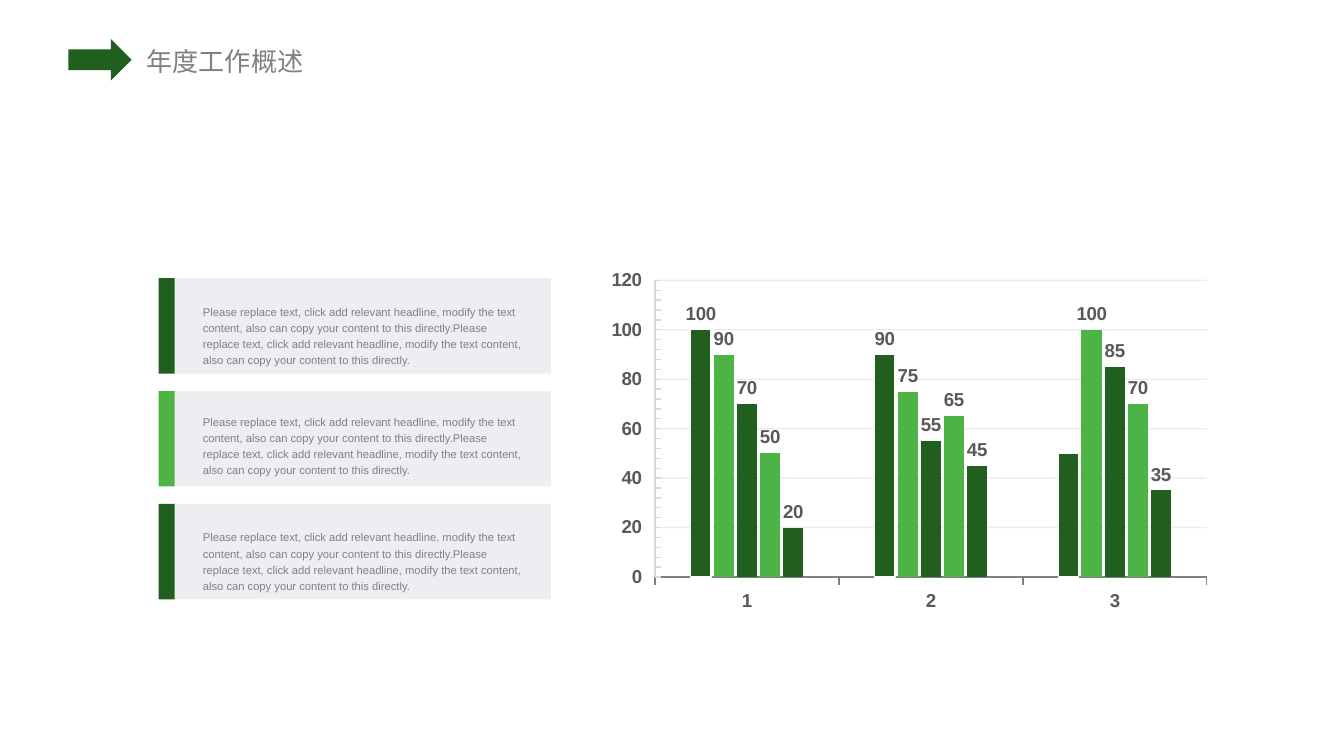
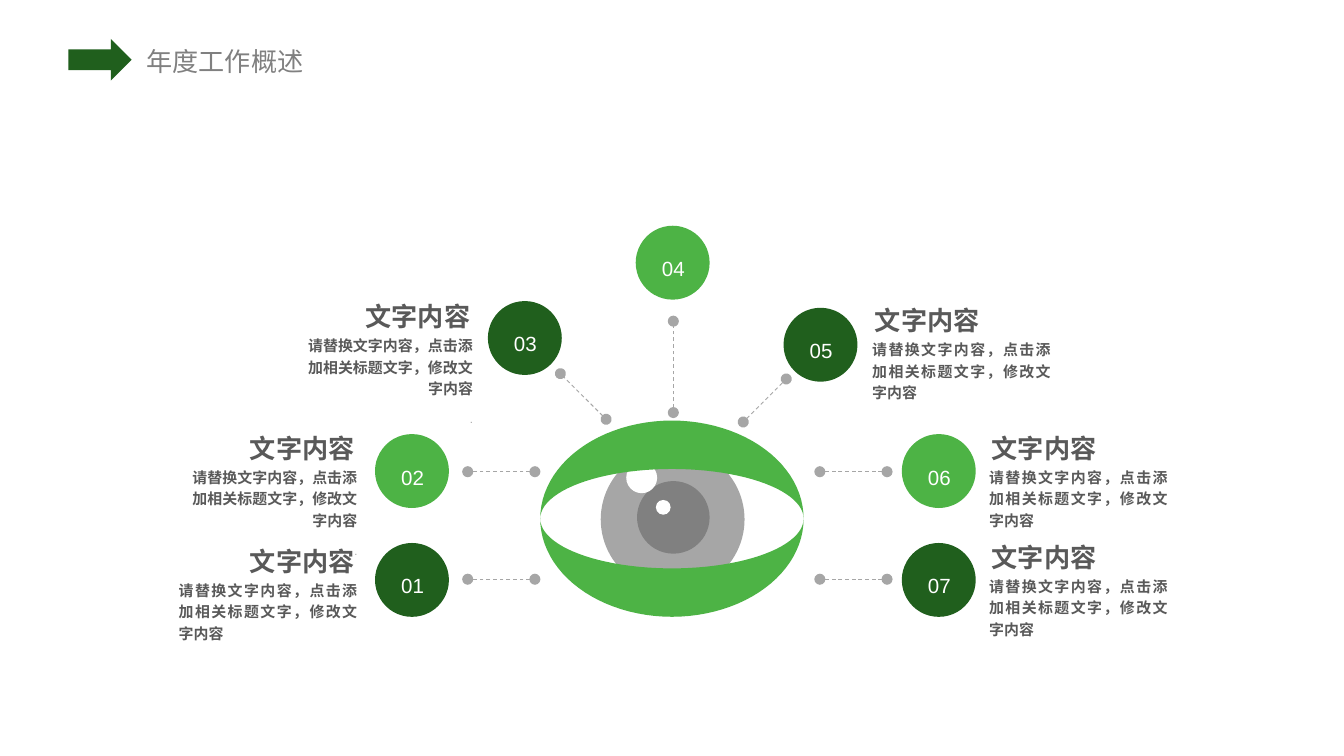
from dataclasses import dataclass
from math import cos, pi, sin
from typing import Any

from lxml import etree
from pptx import Presentation
from pptx.chart import data as chart_data
from pptx.dml.color import RGBColor
from pptx.enum import chart as charts, dml, shapes, text
from pptx.oxml import ns
from pptx.util import Inches, Pt

# Shared style
DARK_GREEN = RGBColor(0x20, 0x5F, 0x1D)
LIGHT_GREEN = RGBColor(0x4D, 0xB3, 0x45)
PANEL = RGBColor(0xEC, 0xEE, 0xF2)
WHITE = RGBColor(0xFF, 0xFF, 0xFF)
SILVER = RGBColor(0xA6, 0xA6, 0xA6)
GREY = RGBColor(0x80, 0x80, 0x80)
CHARCOAL = RGBColor(0x59, 0x59, 0x59)
GRID = RGBColor(0xD9, 0xD9, 0xD9)
LATIN_FONT = "Arial"
CHINESE_FONT = "Noto Sans CJK SC"
RECTANGLE = shapes.MSO_SHAPE.RECTANGLE
OVAL = shapes.MSO_SHAPE.OVAL
LEFT, RIGHT = text.PP_ALIGN.LEFT, text.PP_ALIGN.RIGHT
CENTER, JUSTIFY = text.PP_ALIGN.CENTER, text.PP_ALIGN.JUSTIFY
TOP, MIDDLE, BOTTOM = (text.MSO_ANCHOR.TOP, text.MSO_ANCHOR.MIDDLE,
                       text.MSO_ANCHOR.BOTTOM)

# Wording
PAGE_TITLE = "年度工作概述"
SENTENCE = ("Please replace text, click add relevant headline, modify the text "
            "content, also can copy your content to this directly.")
CALLOUT_TITLE = "文字内容"
CALLOUT_BODY = "请替换文字内容，点击添加相关标题文字，修改文字内容"


@dataclass(frozen=True)
class Style:
    size: float
    color: RGBColor
    bold: bool = False
    font: str = LATIN_FONT


@dataclass(frozen=True)
class Panel:
    text_top: float
    color: RGBColor


@dataclass(frozen=True)
class Badge:
    number: str
    left: float
    top: float
    color: RGBColor


@dataclass(frozen=True)
class Callout:
    left: float
    top: float
    title_align: Any
    body_align: Any
    dotted: bool = False


TITLE_STYLE = Style(14, GREY, font=CHINESE_FONT)
PANEL_STYLE = Style(6, GREY)
BADGE_STYLE = Style(11, WHITE)
HEADING_STYLE = Style(14, CHARCOAL, True)
BODY_STYLE = Style(8, CHARCOAL, True)
DOT_STYLE = Style(6, SILVER)

PANELS = [Panel(2.25, DARK_GREEN), Panel(3.07, LIGHT_GREEN), Panel(3.93, DARK_GREEN)]
PANEL_TOP, PANEL_STEP, PANEL_HEIGHT = 2.07, 0.84, 0.71

SERIES = [(100, 90, 50), (90, 75, 100), (70, 55, 85), (50, 65, 70), (20, 45, 35)]

BADGES = [
    Badge("01", 2.79, 4.04, DARK_GREEN),
    Badge("02", 2.79, 3.23, LIGHT_GREEN),
    Badge("03", 3.63, 2.24, DARK_GREEN),
    Badge("04", 4.73, 1.68, LIGHT_GREEN),
    Badge("05", 5.83, 2.29, DARK_GREEN),
    Badge("06", 6.71, 3.23, LIGHT_GREEN),
    Badge("07", 6.71, 4.04, DARK_GREEN),
]
CALLOUT_WIDTH = 1.33
CALLOUTS = [
    Callout(1.33, 4.07, RIGHT, JUSTIFY),
    Callout(1.33, 3.23, RIGHT, RIGHT, dotted=True),
    Callout(2.19, 2.25, RIGHT, RIGHT, dotted=True),
    Callout(6.49, 2.28, LEFT, JUSTIFY),
    Callout(7.36, 3.23, LEFT, JUSTIFY),
    Callout(7.36, 4.04, LEFT, JUSTIFY),
]
SPOKES = [(4.51, 3.12, 4.17, 2.78), (5.53, 3.14, 5.85, 2.82), (5.01, 3.07, 5.01, 2.39)]
SPOKES += [(x, y, x - 0.5, y) for x in (3.98, 6.6) for y in (3.51, 4.31)]


def paint(shape: Any, color: RGBColor) -> None:
    shape.shadow.inherit = False
    shape.fill.solid()
    shape.fill.fore_color.rgb = color
    shape.line.fill.background()


def add_block(slide: Any, kind: Any, left: float, top: float, width: float,
              height: float, color: RGBColor) -> None:
    shape = slide.shapes.add_shape(kind, Inches(left), Inches(top),
                                   Inches(width), Inches(height))
    paint(shape, color)


def add_run(paragraph: Any, words: str, style: Style) -> None:
    run = paragraph.add_run()
    run.text = words
    run.font.size = Pt(style.size)
    run.font.bold = style.bold
    run.font.name = style.font
    run.font.color.rgb = style.color
    east_asian = etree.SubElement(run.font._element, ns.qn("a:ea"))
    east_asian.set("typeface", CHINESE_FONT)


def add_text(slide: Any, left: float, top: float, width: float, height: float,
             words: str, style: Style, align: Any = LEFT, anchor: Any = TOP,
             spacing: float = 1.0, margins: tuple[float, float] = (0, 0),
             wrap: bool = True) -> Any:
    box = slide.shapes.add_textbox(Inches(left), Inches(top),
                                   Inches(width), Inches(height))
    frame = box.text_frame
    frame.word_wrap = wrap
    frame.vertical_anchor = anchor
    frame.margin_left = frame.margin_right = Inches(margins[0])
    frame.margin_top = frame.margin_bottom = Inches(margins[1])
    paragraph = frame.paragraphs[0]
    paragraph.alignment = align
    paragraph.line_spacing = spacing
    add_run(paragraph, words, style)
    return frame


def add_page(presentation: Any) -> Any:
    """Add a slide with the shared heading."""
    slide = presentation.slides.add_slide(presentation.slide_layouts[6])
    add_text(slide, 0.98, 0.29, 1.39, 0.34, PAGE_TITLE, TITLE_STYLE,
             margins=(0.11, 0.05), wrap=False)
    add_block(slide, shapes.MSO_SHAPE.RIGHT_ARROW, 0.51, 0.29, 0.47, 0.31, DARK_GREEN)
    return slide


def style_label(font: Any) -> None:
    font.name = LATIN_FONT
    font.size = Pt(10)
    font.bold = True
    font.color.rgb = CHARCOAL


def set_plot_layout(plot_area: Any, **bounds: float) -> None:
    for old_layout in plot_area.findall(ns.qn("c:layout")):
        plot_area.remove(old_layout)
    layout = etree.Element(ns.qn("c:layout"))
    manual = etree.SubElement(layout, ns.qn("c:manualLayout"))
    settings = {"layoutTarget": "inner", "xMode": "edge", "yMode": "edge", **bounds}
    for name, value in settings.items():
        etree.SubElement(manual, ns.qn(f"c:{name}")).set("val", str(value))
    plot_area.insert(0, layout)


def style_axes(chart: Any) -> None:
    category, value = chart.category_axis, chart.value_axis
    category.major_tick_mark = charts.XL_TICK_MARK.OUTSIDE
    category.format.line.color.rgb = GREY
    category.format.line.width = Pt(0.75)
    value.minimum_scale = 0
    value.major_tick_mark = charts.XL_TICK_MARK.NONE
    value.minor_tick_mark = charts.XL_TICK_MARK.INSIDE
    value.tick_label_position = charts.XL_TICK_LABEL_POSITION.LOW
    gridlines = value.major_gridlines.format.line
    for line in (value.format.line, gridlines):
        line.color.rgb = GRID
        line.width = Pt(0.75)
    grid_color = gridlines._ln.find(".//" + ns.qn("a:srgbClr"))
    etree.SubElement(grid_color, ns.qn("a:alpha")).set("val", "48000")
    for axis in (category, value):
        style_label(axis.tick_labels.font)
        axis.tick_labels.number_format = "General"
        axis.tick_labels.number_format_is_linked = False


def add_bar_chart(slide: Any) -> None:
    data = chart_data.CategoryChartData()
    data.categories = ["1", "2", "3"]
    for index, values in enumerate(SERIES, 1):
        data.add_series(f"Series {index}", values)
    chart = slide.shapes.add_chart(
        charts.XL_CHART_TYPE.COLUMN_CLUSTERED, Inches(4.44), Inches(1.96),
        Inches(4.67), Inches(2.76), data).chart
    chart.has_legend = chart.has_title = False
    style_label(chart.font)
    style_axes(chart)
    plot = chart.plots[0]
    plot.gap_width, plot.overlap = 351, -14
    plot.vary_by_categories = False
    set_plot_layout(plot._element.getparent(), x=0.093, y=0.046, w=0.879, h=0.8)
    outside = charts.XL_LABEL_POSITION.OUTSIDE_END
    for index, series in enumerate(plot.series):
        series.format.fill.solid()
        series.format.fill.fore_color.rgb = LIGHT_GREEN if index % 2 else DARK_GREEN
        if index:
            series.format.line.fill.background()
            series.data_labels.position = outside
        else:
            # The last bar of the first series has no label
            series.format.line.color.rgb = WHITE
            series.format.line.width = Pt(0.75)
            for point in (0, 1):
                label = series.points[point].data_label
                style_label(label.font)
                label.position = outside
        series.data_labels.show_value = index > 0
        style_label(series.data_labels.font)


def build_chart_slide(presentation: Any) -> None:
    slide = add_page(presentation)
    add_bar_chart(slide)
    for index, panel in enumerate(PANELS):
        top = PANEL_TOP + index * PANEL_STEP
        add_block(slide, RECTANGLE, 1.3, top, 2.8, PANEL_HEIGHT, PANEL)
        add_block(slide, RECTANGLE, 1.18, top, 0.12, PANEL_HEIGHT, panel.color)
        add_text(slide, 1.51, panel.text_top, 2.4, 0.48, SENTENCE * 2,
                 PANEL_STYLE, spacing=1.2)


def add_eyelids(slide: Any) -> None:
    """Draw two crescents between a tall and a flat ellipse."""
    center_x, center_y, radius_x, outer, inner = 5.0, 3.86, 0.98, 0.73, 0.37
    steps = 48
    angles = [pi * step / steps for step in range(steps + 1)]

    def arc(radius_y: float) -> list[tuple[int, int]]:
        return [(Inches(center_x + radius_x * cos(angle)),
                 Inches(center_y + radius_y * sin(angle))) for angle in angles]

    upper, lower = (arc(side * outer) + arc(side * inner)[::-1] for side in (-1, 1))
    builder = slide.shapes.build_freeform(*upper[0], scale=1.0)
    builder.add_line_segments(upper[1:], close=True)
    builder.move_to(*lower[0])
    builder.add_line_segments(lower[1:], close=True)
    paint(builder.convert_to_shape(), LIGHT_GREEN)


def add_eye(slide: Any) -> None:
    add_block(slide, OVAL, 4.01, 3.31, 1.97, 1.07, WHITE)
    for left, top, size, color in [
        (4.47, 3.33, 1.07, SILVER),
        (4.74, 3.58, 0.54, GREY),
        (4.88, 3.72, 0.11, WHITE),
        (4.66, 3.44, 0.23, WHITE),
    ]:
        add_block(slide, OVAL, left, top, size, size, color)
    add_eyelids(slide)


def add_spoke(slide: Any, *ends: float) -> None:
    spoke = slide.shapes.add_connector(shapes.MSO_CONNECTOR.STRAIGHT,
                                       *(Inches(end) for end in ends))
    spoke.line.color.rgb = SILVER
    spoke.line.width = Pt(0.5)
    spoke.line.dash_style = dml.MSO_LINE.DASH
    for end in ("headEnd", "tailEnd"):
        etree.SubElement(spoke.line._ln, ns.qn(f"a:{end}")).set("type", "oval")
    etree.SubElement(spoke._element.spPr, ns.qn("a:effectLst"))


def add_callout(slide: Any, callout: Callout) -> None:
    body = add_text(slide, callout.left, callout.top + 0.23, CALLOUT_WIDTH, 0.28,
                    CALLOUT_BODY, BODY_STYLE, callout.body_align, spacing=1.2)
    if callout.dotted:
        paragraph = body.add_paragraph()
        paragraph.alignment = callout.body_align
        paragraph.line_spacing = 1.2
        paragraph.space_before = Pt(6.4)
        add_run(paragraph, ".", DOT_STYLE)
    add_text(slide, callout.left, callout.top, CALLOUT_WIDTH, 0.16, CALLOUT_TITLE,
             HEADING_STYLE, callout.title_align, MIDDLE, 1.2, (0.02, 0.02))


def build_eye_slide(presentation: Any) -> None:
    slide = add_page(presentation)
    add_eye(slide)
    for spoke in SPOKES:
        add_spoke(slide, *spoke)
    for badge in BADGES:
        add_block(slide, OVAL, badge.left, badge.top, 0.55, 0.55, badge.color)
        add_text(slide, badge.left + 0.1, badge.top + 0.14, 0.36, 0.27,
                 badge.number, BADGE_STYLE, CENTER, BOTTOM)
    for callout in CALLOUTS:
        add_callout(slide, callout)


def main() -> None:
    presentation = Presentation()
    presentation.slide_width = Inches(10)
    presentation.slide_height = Inches(10) * 9 // 16
    build_chart_slide(presentation)
    build_eye_slide(presentation)
    presentation.save("out.pptx")


if __name__ == "__main__":
    main()
